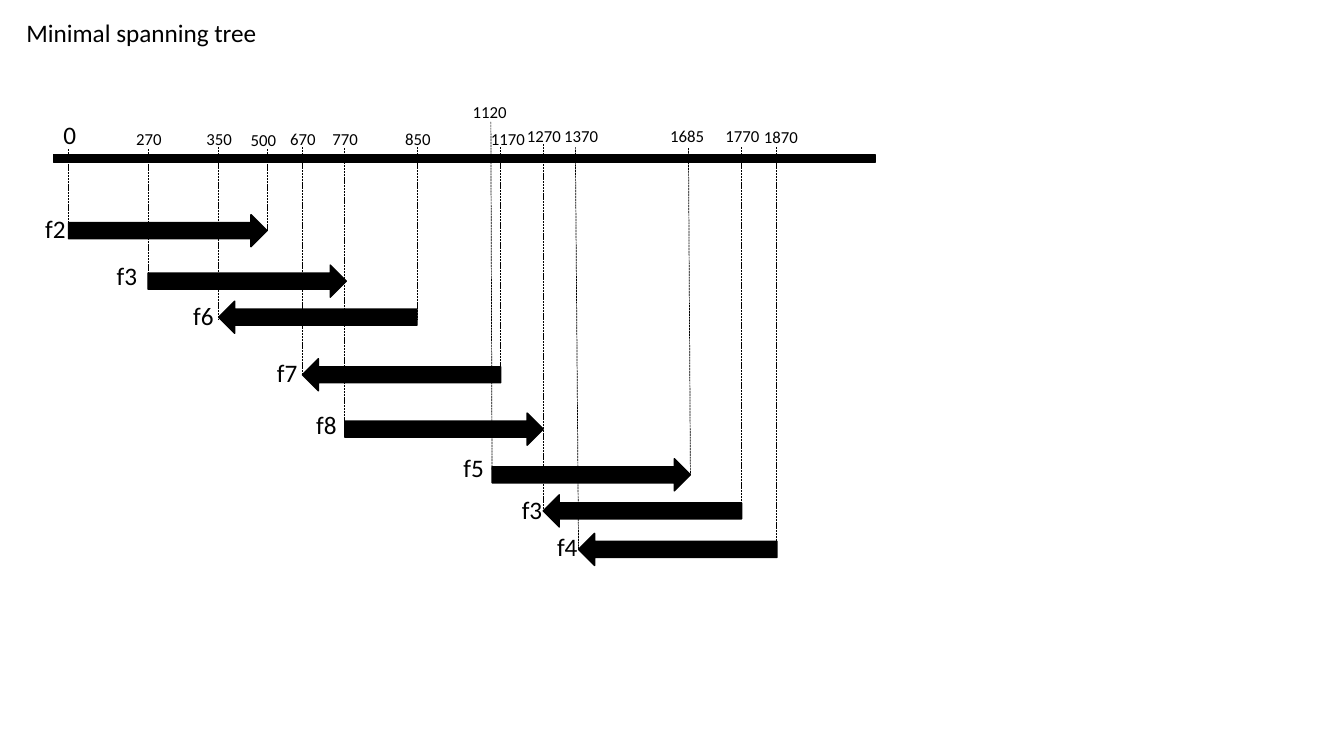
from pptx import Presentation
from pptx.dml.color import RGBColor
from pptx.enum.dml import MSO_LINE
from pptx.enum.shapes import MSO_CONNECTOR, MSO_SHAPE
from pptx.enum.text import MSO_ANCHOR, MSO_AUTO_SIZE, PP_ALIGN
from pptx.oxml.ns import qn
from pptx.util import Cm, Pt
from lxml.etree import SubElement

BLACK = RGBColor(0, 0, 0)
FONT = "Calibri"
BIG, SMALL = 18, 12
SPAN, THICK = 5, 0.81  # every flow arrow has the same size
RIGHT, LEFT = MSO_SHAPE.RIGHT_ARROW, MSO_SHAPE.LEFT_ARROW

# Flow: name, arrow kind, arrow left and top, label left and top (cm)
FLOWS = [
    ("f2", RIGHT, 1.73, 5.41, 0.89, 5.26),
    ("f3", RIGHT, 3.73, 6.68, 2.69, 6.43),
    ("f6", LEFT, 5.51, 7.59, 4.62, 7.44),
    ("f7", LEFT, 7.62, 9.04, 6.73, 8.89),
    ("f8", RIGHT, 8.69, 10.41, 7.72, 10.19),
    ("f5", RIGHT, 12.4, 11.56, 11.43, 11.28),
    ("f3", LEFT, 13.69, 12.47, 12.9, 12.32),
    ("f4", LEFT, 14.58, 13.44, 13.79, 13.26),
]

# Tick: value, line top x and y, line foot x and y, label left and top (cm)
TICKS = [
    ("0", 1.73, 3.76, 1.73, 5.82, 1.35, 2.87),
    ("270", 3.73, 3.76, 3.73, 7.09, 3.18, 3.12),
    ("350", 5.51, 3.71, 5.51, 8.05, 4.95, 3.12),
    ("500", 6.73, 3.76, 6.73, 5.82, 6.07, 3.15),
    ("670", 7.62, 3.71, 7.62, 9.42, 7.06, 3.12),
    ("770", 8.69, 3.73, 8.69, 10.77, 8.13, 3.12),
    ("850", 10.52, 3.71, 10.52, 8.05, 9.96, 3.12),
    ("1120", 12.37, 3.07, 12.4, 11.84, 11.66, 2.44),
    ("1170", 12.62, 3.71, 12.62, 9.42, 12.12, 3.12),
    ("1270", 13.69, 3.63, 13.69, 12.88, 13.03, 3.05),
    ("1370", 14.5, 3.71, 14.58, 13.84, 13.97, 3.05),
    ("1685", 17.35, 3.73, 17.4, 11.94, 16.64, 3.05),
    ("1770", 18.69, 3.71, 18.69, 12.88, 18.03, 3.05),
    ("1870", 19.56, 3.71, 19.56, 13.84, 19, 3.07),
]


def style(item, **form):
    for name, value in form.items():
        setattr(item, name, value)


def write(shape, text, size):
    frame = shape.text_frame
    frame.text = text
    style(frame, word_wrap=True, auto_size=MSO_AUTO_SIZE.NONE,
          vertical_anchor=MSO_ANCHOR.TOP)
    line = frame.paragraphs[0]
    line.alignment = PP_ALIGN.LEFT
    font = line.runs[0].font
    style(font, name=FONT, size=Pt(size))
    font.color.rgb = BLACK


def add_title(slide, text):
    title = slide.shapes.title
    style(title, left=Cm(0.41), top=Cm(0.3), width=Cm(16.23), height=Cm(1.02))
    write(title, text, BIG)


def add_label(slide, text, left, top, width, height, size):
    box = slide.shapes.add_textbox(Cm(left), Cm(top), Cm(width), Cm(height))
    write(box, text, size)


def add_solid(slide, kind, left, top, width, height):
    shape = slide.shapes.add_shape(
        kind, Cm(left), Cm(top), Cm(width), Cm(height))
    shape.shadow.inherit = False
    shape.fill.solid()
    shape.fill.fore_color.rgb = BLACK
    shape.line.color.rgb = BLACK
    shape.line.width = Pt(1)


def add_dash(slide, *ends):
    dash = slide.shapes.add_connector(
        MSO_CONNECTOR.STRAIGHT, *[Cm(end) for end in ends])
    dash.line.color.rgb = BLACK
    style(dash.line, width=Pt(0.5), dash_style=MSO_LINE.SQUARE_DOT)
    SubElement(dash.element.spPr, qn("a:effectLst"))


def add_flow(slide, name, kind, left, top, label_left, label_top):
    add_solid(slide, kind, left, top, SPAN, THICK)
    add_label(slide, name, label_left, label_top, 1.22, 1.02, BIG)


def add_tick(slide, value, x, top, foot_x, foot, label_left, label_top):
    add_dash(slide, x, top, foot_x, foot)
    # The origin is marked in larger type
    size = BIG if value == "0" else SMALL
    add_label(slide, value, label_left, label_top, 1.75, 0.76, size)


def main():
    deck = Presentation()
    style(deck, slide_width=Cm(33.87), slide_height=Cm(19.05))
    slide = deck.slides.add_slide(deck.slide_layouts[5])
    add_title(slide, "Minimal spanning tree")

    # Flows below the axis, then the ticks that mark their ends
    for flow in FLOWS:
        add_flow(slide, *flow)
    for tick in TICKS:
        add_tick(slide, *tick)

    # Time axis
    add_solid(slide, MSO_SHAPE.RECTANGLE, 1.35, 3.89, 20.7, 0.2)
    deck.save("out.pptx")


main()
